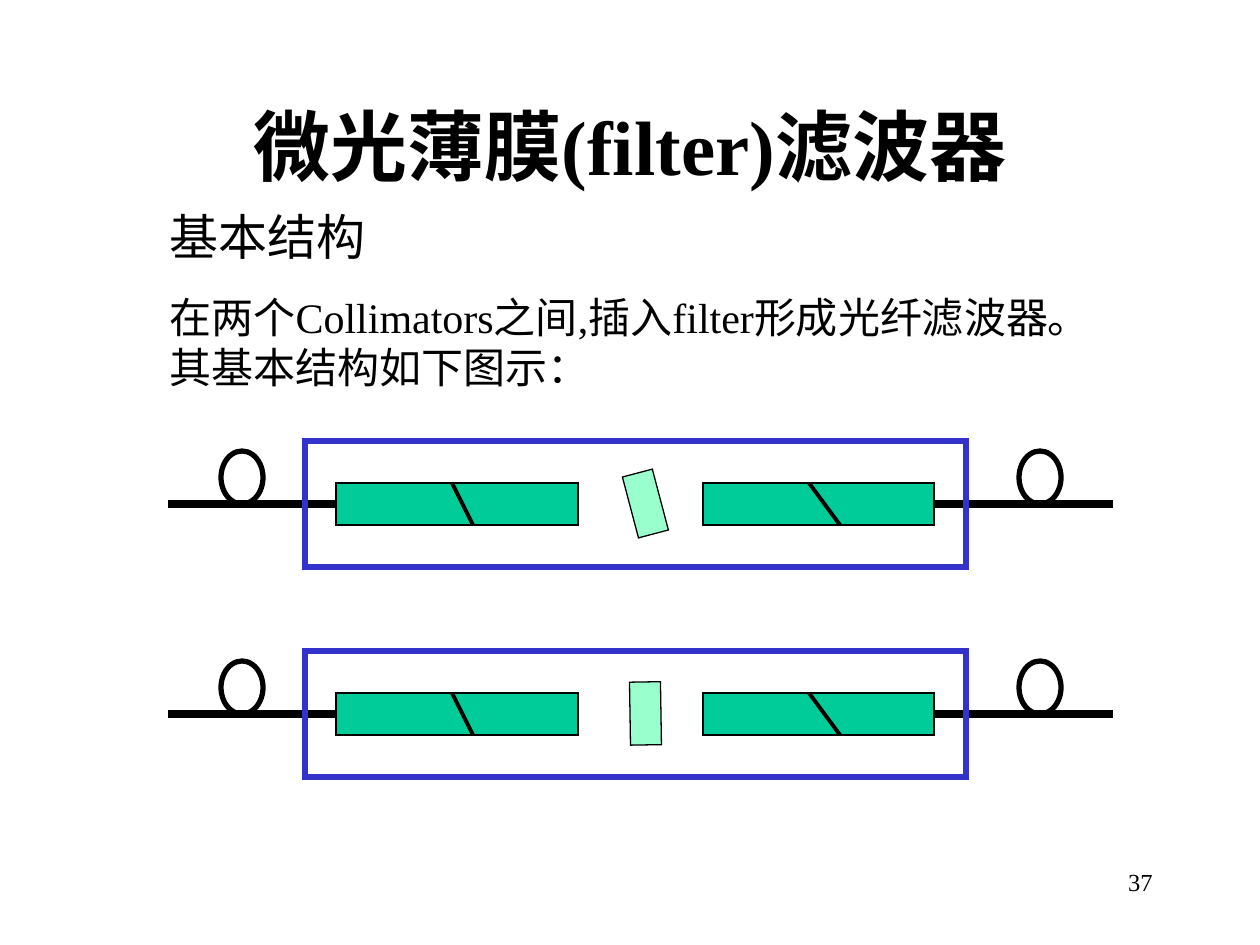
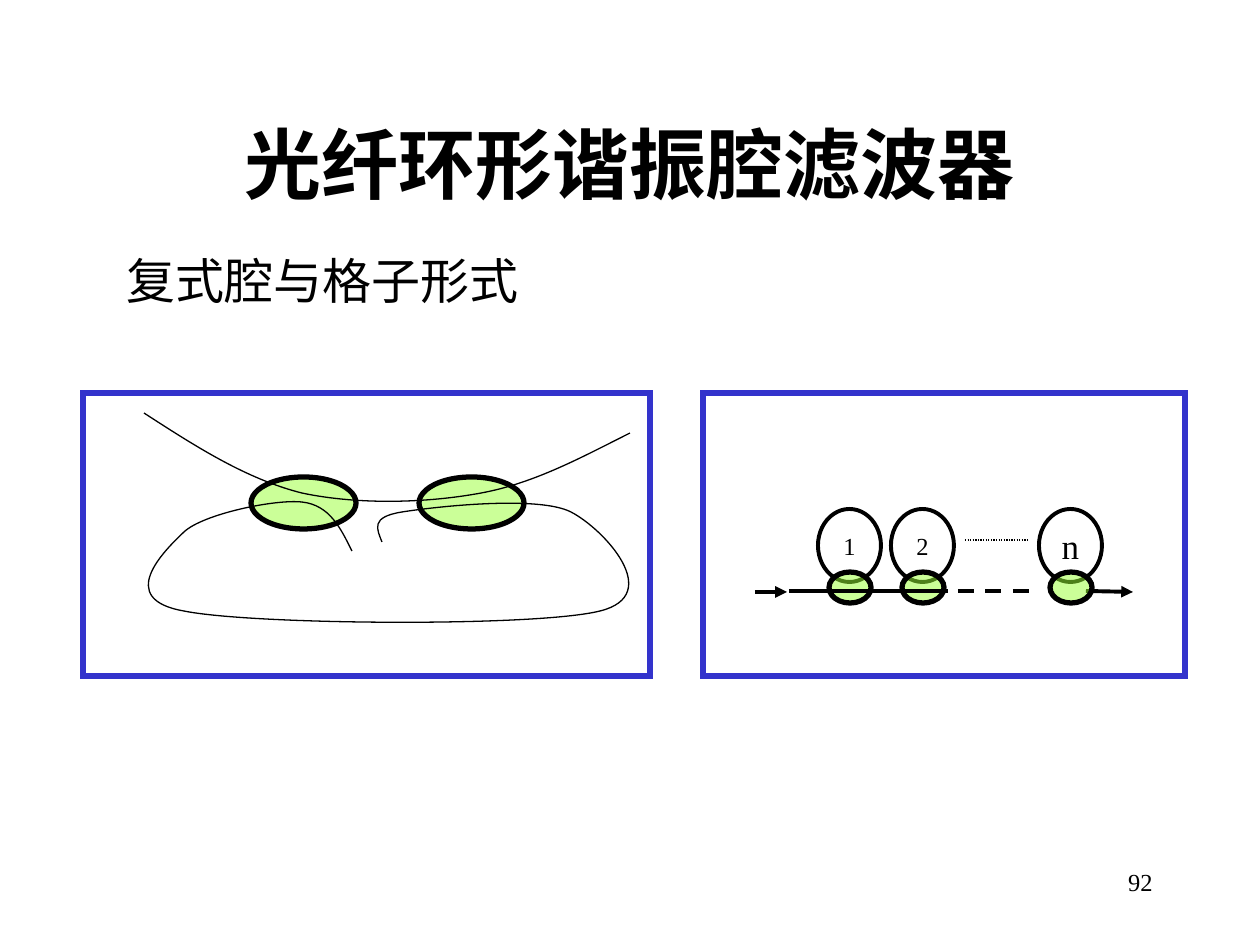
from lxml.etree import SubElement
from pptx import Presentation
from pptx.dml.color import RGBColor
from pptx.enum.dml import MSO_LINE
from pptx.enum.shapes import MSO_CONNECTOR, MSO_SHAPE
from pptx.enum.text import MSO_ANCHOR, MSO_AUTO_SIZE, PP_ALIGN
from pptx.oxml.ns import qn
from pptx.util import Emu, Pt

# Shared look
SCALE = 914400 / 126
FONT = "Times New Roman"
BLACK, BLUE = "000000", "3333CC"
GREEN, MINT, LIME = "00CC99", "99FFCC", "99FF33"
RECT, OVAL = MSO_SHAPE.RECTANGLE, MSO_SHAPE.OVAL


def px(n):
    return Emu(round(n * SCALE))


def color(code):
    return RGBColor.from_string(code)


# Text
def write(par, text, size=14, bold=False, align=PP_ALIGN.LEFT, before=0):
    par.text = text
    par.alignment = align
    par.space_before = Pt(before)
    font = par.font
    font.name, font.size, font.bold = FONT, Pt(size), bold
    font.color.rgb = color(BLACK)


def place(item, x, y, w, h):
    item.left, item.top, item.width, item.height = map(px, (x, y, w, h))


def add_title(slide, text, y):
    title = slide.shapes.title
    place(title, 94, y, 1072, 158)
    frame = title.text_frame
    frame.auto_size = MSO_AUTO_SIZE.NONE
    frame.vertical_anchor = MSO_ANCHOR.MIDDLE
    write(frame.paragraphs[0], text, size=44, bold=True,
          align=PP_ALIGN.CENTER)


def add_body(slide, box, lines):
    body = slide.placeholders[1]
    place(body, *box)
    frame = body.text_frame
    frame.auto_size = MSO_AUTO_SIZE.NONE
    for i, (text, size, before) in enumerate(lines):
        par = frame.add_paragraph() if i else frame.paragraphs[0]
        props = par._p.get_or_add_pPr()
        for name in ("marL", "indent", "hangingPunct"):
            props.set(name, "0")
        SubElement(props, qn("a:buNone"))
        write(par, text, size=size, before=before)


def add_number(slide, text):
    box = slide.shapes.add_textbox(*map(px, (903, 861, 262, 63)))
    box.text_frame.word_wrap = True
    write(box.text_frame.paragraphs[0], text, align=PP_ALIGN.RIGHT)


# Drawing
def style(item, fill=None, line=BLACK, width=0.75, alpha=None):
    item.shadow.inherit = False
    item.line.color.rgb = color(line)
    item.line.width = Pt(width)
    props = item._element.spPr
    SubElement(props.find(qn("a:ln")), qn("a:miter")).set("lim", "800000")
    if fill is None:
        item.fill.background()
        return
    item.fill.solid()
    item.fill.fore_color.rgb = color(fill)
    if alpha:
        tint = props.find(f"{qn('a:solidFill')}/{qn('a:srgbClr')}")
        SubElement(tint, qn("a:alpha")).set("val", str(alpha * 1000))


def add_form(slide, kind, x, y, w, h, turn=0, **look):
    form = slide.shapes.add_shape(kind, *map(px, (x, y, w, h)))
    form.rotation = turn
    style(form, **look)
    return form


def add_line(slide, x1, y1, x2, y2, width=2.25, dash=None, arrow=False):
    link = slide.shapes.add_connector(
        MSO_CONNECTOR.STRAIGHT, *map(px, (x1, y1, x2, y2)))
    link.line.color.rgb = color(BLACK)
    link.line.width = Pt(width)
    if dash:
        link.line.dash_style = dash
    props = link._element.spPr
    if arrow:
        SubElement(props.find(qn("a:ln")), qn("a:tailEnd")).set("type", "triangle")
    SubElement(props, qn("a:effectLst"))


def add_curve(slide, start, *arcs):
    """Draw cubic arcs, each given by two controls and an end."""
    pen = slide.shapes.build_freeform(px(start[0]), px(start[1]))
    pen.add_line_segments(
        [(px(x), px(y)) for arc in arcs for x, y in arc], close=False)
    curve = pen.convert_to_shape()
    # Turn each run of three segments into one cubic arc
    track = next(curve._element.iter(qn("a:path")))
    legs = track.findall(qn("a:lnTo"))
    for i in range(0, len(legs), 3):
        cubic = SubElement(track, qn("a:cubicBezTo"))
        for leg in legs[i:i + 3]:
            cubic.append(leg[0])
            track.remove(leg)
    style(curve)


# Filter between two collimators
def add_filter(slide, y, turn):
    for left, width, fiber, cut in (
            (336, 242, (168, 336), (452, 473)),
            (703, 231, (935, 1113), (809, 840))):
        add_form(slide, RECT, left, y - 21, width, 42, fill=GREEN)
        add_line(slide, fiber[0], y, fiber[1], y, width=4.5)
        add_line(slide, cut[0], y - 21, cut[1], y + 21)
    add_form(slide, RECT, 630, y - 32, 31, 63, turn=turn, fill=MINT)
    add_form(slide, RECT, 305, y - 63, 661, 126, line=BLUE, width=3)
    for left in (221, 1019):
        add_form(slide, OVAL, left, y - 53, 42, 53, width=3)


# Two couplers joined by a bus fiber and a ring fiber
def add_cavity(slide):
    for left in (251, 419):
        add_form(slide, OVAL, left, 477, 105, 52, fill=LIME, alpha=50, width=3)
    add_form(slide, RECT, 83, 393, 567, 283, line=BLUE, width=3)
    add_curve(slide, (144, 413),
              ((195, 446), (246, 479), (302, 493)),
              ((359, 505), (427, 503), (481, 493)),
              ((535, 483), (582, 457), (630, 433)))
    add_curve(slide, (352, 551),
              ((341, 529), (330, 505), (302, 502)),
              ((275, 499), (203, 514), (184, 532)),
              ((164, 551), (115, 599), (184, 611)),
              ((253, 625), (536, 627), (600, 611)),
              ((665, 595), (604, 529), (571, 512)),
              ((538, 495), (433, 507), (402, 512)),
              ((370, 517), (377, 529), (382, 542)))


# Chain of n rings along one fiber
def add_chain(slide):
    rings = ((818, "1", 14), (891, "2", 14), (1039, "n", 20))
    for left, label, size in rings:
        ring = add_form(slide, OVAL, left, 509, 63, 73, width=2.25)
        frame = ring.text_frame
        frame.word_wrap = False
        frame.vertical_anchor = MSO_ANCHOR.MIDDLE
        write(frame.paragraphs[0], label, size=size, align=PP_ALIGN.CENTER)
    add_line(slide, 965, 540, 1028, 540, width=0.75, dash=MSO_LINE.ROUND_DOT)
    add_line(slide, 755, 592, 787, 592, arrow=True)
    add_line(slide, 1086, 591, 1133, 592, arrow=True)
    add_form(slide, RECT, 703, 393, 482, 283, line=BLUE, width=3)
    for left, *_ in rings:
        add_form(slide, OVAL, left + 11, 572, 42, 31, fill=LIME, alpha=50, width=3)
    add_line(slide, 789, 591, 948, 591)
    add_line(slide, 958, 591, 1037, 591, dash=MSO_LINE.DASH)


def add_page(deck, title, y, box, lines, number):
    slide = deck.slides.add_slide(deck.slide_layouts[1])
    add_title(slide, title, y)
    add_body(slide, box, lines)
    add_number(slide, number)
    return slide


def main():
    deck = Presentation()
    deck.slide_width, deck.slide_height = px(1260), px(945)

    # Thin-film filter
    film = add_page(
        deck, "微光薄膜(filter)滤波器", 66, (157, 200, 987, 199),
        [("基本结构", 28, 0),
         ("在两个Collimators之间,插入filter形成光纤滤波器。其基本结构如下图示：", 24, 15)],
        "37")
    for y, turn in ((504, 345.2), (714, 359.1)):
        add_filter(film, y, turn)

    # Ring resonator filter
    loop = add_page(
        deck, "光纤环形谐振腔滤波器", 84, (114, 244, 809, 72),
        [("复式腔与格子形式", 28, 0)], "92")
    add_cavity(loop)
    add_chain(loop)

    deck.save("out.pptx")


if __name__ == "__main__":
    main()
